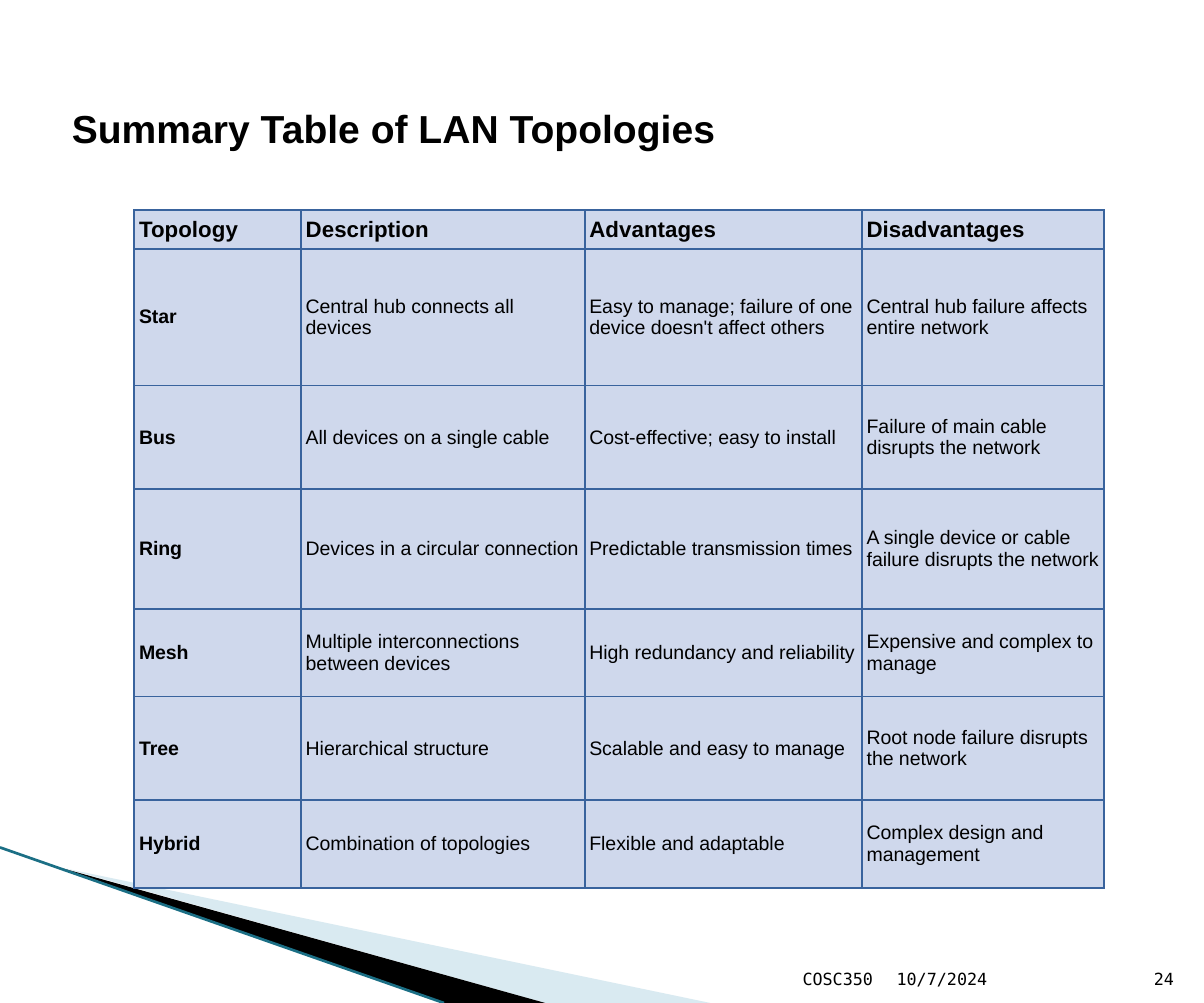
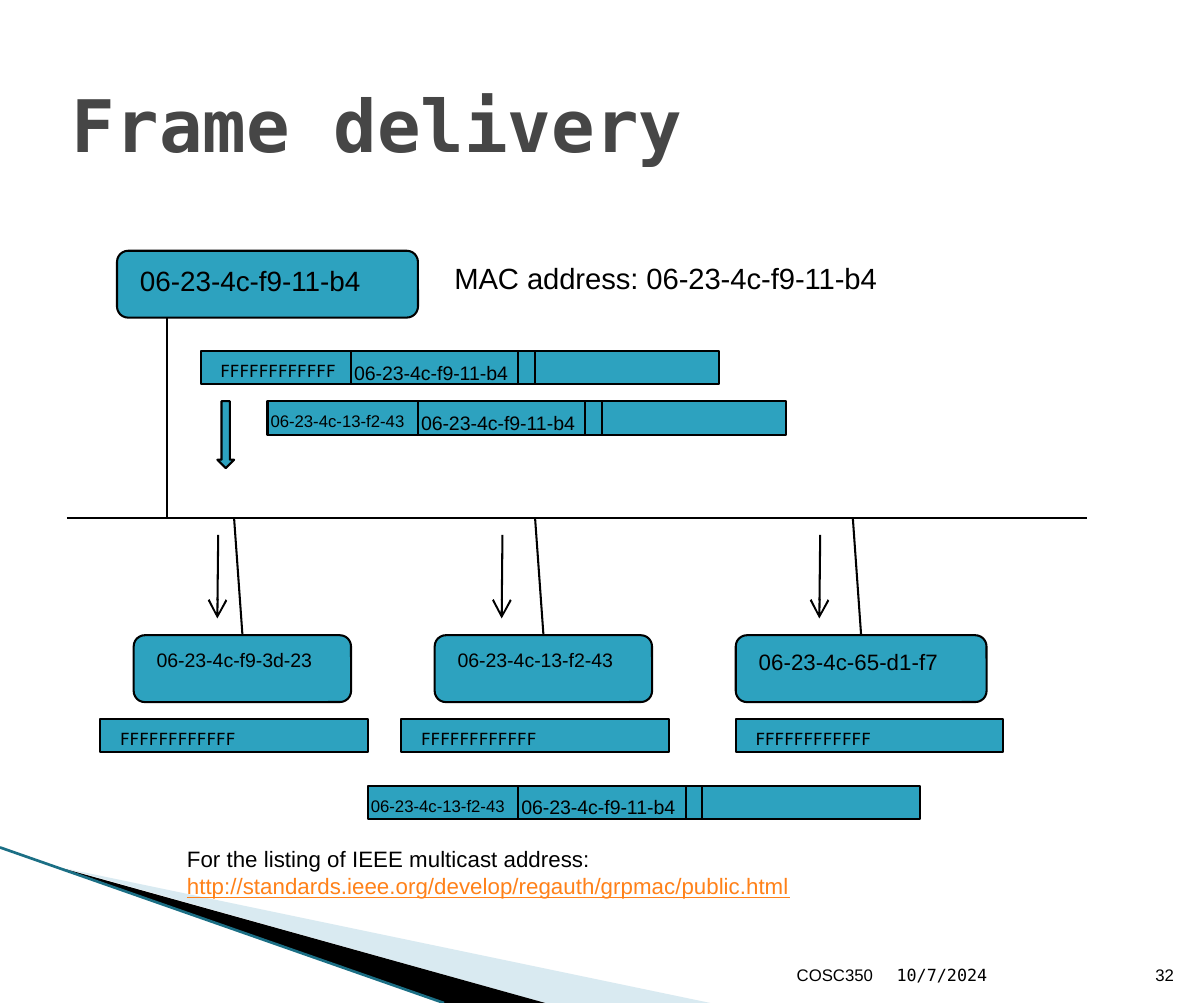
from dataclasses import dataclass

from lxml import etree
from pptx import Presentation
from pptx import util as u
from pptx.dml.color import RGBColor
from pptx.enum import shapes, text
from pptx.oxml import ns

Cm, Pt = u.Cm, u.Pt
LEFT, RIGHT = text.PP_ALIGN.LEFT, text.PP_ALIGN.RIGHT

BLACK = RGBColor(0x00, 0x00, 0x00)
TITLE_GREY = RGBColor(0x46, 0x46, 0x46)
TEAL = RGBColor(0x2D, 0xA2, 0xBF)
PALE_TEAL = RGBColor(0xA0, 0xCB, 0xDC)
DARK_TEAL = RGBColor(0x1B, 0x6F, 0x85)
LINK_ORANGE = RGBColor(0xFF, 0x81, 0x19)
CELL_BLUE = RGBColor(0xCF, 0xD8, 0xEC)
BORDER_BLUE = RGBColor(0x39, 0x63, 0x9D)

ARIAL, SANS, MONO = "Arial", "DejaVu Sans", "DejaVu Sans Mono"

SENDER = "06-23-4c-f9-11-b4"
RECEIVER = "06-23-4c-13-f2-43"
BROADCAST = "FFFFFFFFFFFF"

COLUMN_WIDTHS = (2.11, 3.59, 3.51, 3.06)
ROW_HEIGHTS = (0.49, 1.73, 1.31, 1.52, 1.11, 1.31, 1.11)
TOPOLOGIES = (
    ("Topology", "Description", "Advantages", "Disadvantages"),
    ("Star", "Central hub connects all devices",
     "Easy to manage; failure of one device doesn't affect others",
     "Central hub failure affects entire network"),
    ("Bus", "All devices on a single cable", "Cost-effective; easy to install",
     "Failure of main cable disrupts the network"),
    ("Ring", "Devices in a circular connection", "Predictable transmission times",
     "A single device or cable failure disrupts the network"),
    ("Mesh", "Multiple interconnections between devices",
     "High redundancy and reliability", "Expensive and complex to manage"),
    ("Tree", "Hierarchical structure", "Scalable and easy to manage",
     "Root node failure disrupts the network"),
    ("Hybrid", "Combination of topologies", "Flexible and adaptable",
     "Complex design and management"),
)


@dataclass(frozen=True)
class Style:
    size: float
    font: str = ARIAL
    color: RGBColor = BLACK
    bold: bool = False


@dataclass(frozen=True)
class Host:
    """A receiving station; positions in grid units."""
    address: str
    left: float
    width: float
    size: float
    arrow: float
    received: float


@dataclass(frozen=True)
class Frame:
    """A frame split into fields; positions in grid units."""
    left: float
    top: float
    width: float
    target: str


HOSTS = (
    Host("06-23-4c-f9-3d-23", 8, 13, 7, 13, 6),
    Host(RECEIVER, 26, 13, 7, 30, 24),
    Host("06-23-4c-65-d1-f7", 44, 15, 8, 49, 44),
)
FRAMES = (
    Frame(12, 21, 31, BROADCAST),
    Frame(16, 24, 31, RECEIVER),
    Frame(22, 47, 33, RECEIVER),
)
FIELD_EDGES = (9, 19, 20)
BUS_TOP, HOST_TOP = 31, 38


def grid(units: float) -> u.Length:
    """Length on the diagram's grid of twelve units to 2.54 cm."""
    return Cm(units * 2.54 / 12)


def write(paragraph, content: str, style: Style, align=LEFT) -> None:
    paragraph.text = content
    paragraph.alignment = align
    font = paragraph.font
    font.size, font.name, font.bold = Pt(style.size), style.font, style.bold
    font.color.rgb = style.color


def add_fixed_text(page, left, top, width, height, content, style,
                   anchor, align=LEFT) -> None:
    """Text in a box of fixed size with narrow margins."""
    box = page.shapes.add_textbox(Cm(left), Cm(top), Cm(width), Cm(height))
    frame = box.text_frame
    frame.word_wrap = True
    frame.vertical_anchor = anchor
    frame.margin_left = frame.margin_right = Cm(0.15)
    frame.margin_top = frame.margin_bottom = Cm(0.08)
    write(frame.paragraphs[0], content, style, align)


def add_label(page, left, top, width, height, content, size, wrap=False):
    """Text box placed on the grid, sized in cm, growing with its text."""
    box = page.shapes.add_textbox(grid(left), grid(top), Cm(width), Cm(height))
    box.text_frame.word_wrap = wrap
    box.text_frame.auto_size = text.MSO_AUTO_SIZE.SHAPE_TO_FIT_TEXT
    paragraph = box.text_frame.paragraphs[0]
    write(paragraph, content, Style(size))
    return paragraph


def add_line(page, start, end, color=BLACK, width=0.75, arrow=False):
    line = page.shapes.add_connector(shapes.MSO_CONNECTOR.STRAIGHT, *start, *end)
    line.line.color.rgb = color
    line.line.width = Pt(width)
    if arrow:
        etree.SubElement(line.line._get_or_add_ln(), ns.qn("a:tailEnd"), type="arrow")
    etree.SubElement(line._element.spPr, ns.qn("a:effectLst"))
    return line


def add_grid_line(page, x1, y1, x2, y2, arrow=False):
    return add_line(page, (grid(x1), grid(y1)), (grid(x2), grid(y2)), arrow=arrow)


def add_node(page, kind, left, top, width, height, content="", style=Style(7)):
    """Teal outlined shape placed on the grid."""
    node = page.shapes.add_shape(kind, grid(left), grid(top), grid(width), grid(height))
    node.shadow.inherit = False
    node.fill.solid()
    node.fill.fore_color.rgb = TEAL
    node.line.color.rgb = BLACK
    node.line.width = Pt(0.75)
    if content:
        node.text_frame.vertical_anchor = text.MSO_ANCHOR.TOP
        write(node.text_frame.paragraphs[0], content, style)
    return node


def add_wedge(page, points, color: RGBColor, opacity: int = 100) -> None:
    start, *rest = [(Cm(x), Cm(y)) for x, y in points]
    builder = page.shapes.build_freeform(*start)
    builder.add_line_segments(rest, close=True)
    wedge = builder.convert_to_shape()
    wedge.shadow.inherit = False
    wedge.fill.solid()
    wedge.fill.fore_color.rgb = color
    wedge.line.fill.background()
    if opacity < 100:
        solid = wedge._element.spPr.find(ns.qn("a:solidFill"))
        etree.SubElement(solid[0], ns.qn("a:alpha"), val=str(opacity * 1000))


def add_page(deck, title: str, title_style: Style, title_top: float,
             number: str, footer_font: str, footer_top: float):
    """Blank page with the corner wedges, title and footer."""
    page = deck.slides.add_slide(deck.slide_layouts[6])
    add_wedge(page, ((0.84, 11), (8.99, 12.7), (6.9, 12.7)), PALE_TEAL, 40)
    add_wedge(page, ((0.81, 11), (6.9, 12.7), (5.6, 12.7)), BLACK)
    add_line(page, (0, Cm(10.73)), (Cm(5.62), Cm(12.7)), DARK_TEAL, 0.95)
    add_fixed_text(page, 0.76, title_top, 13.72, 2.11, title, title_style,
                   text.MSO_ANCHOR.MIDDLE)
    for left, width, content, font, align in (
        (7.29, 3.91, "COSC350", footer_font, RIGHT),
        (11.2, 3.2, "10/7/2024", MONO, LEFT),
        (14.4, 0.61, number, footer_font, RIGHT),
    ):
        add_fixed_text(page, left, footer_top, width, 0.69, content,
                       Style(6, font), text.MSO_ANCHOR.BOTTOM, align)
    return page


def add_borders(cell) -> None:
    properties = cell._tc.get_or_add_tcPr()
    for side in ("lnL", "lnR", "lnT", "lnB"):
        border = etree.SubElement(properties, ns.qn(f"a:{side}"), w=str(Pt(0.75)))
        solid = etree.SubElement(border, ns.qn("a:solidFill"))
        etree.SubElement(solid, ns.qn("a:srgbClr"), val=str(BORDER_BLUE))


def add_topology_table(page) -> None:
    table = page.shapes.add_table(
        len(ROW_HEIGHTS), len(COLUMN_WIDTHS), Cm(1.7), Cm(2.66),
        Cm(sum(COLUMN_WIDTHS)), Cm(sum(ROW_HEIGHTS))).table
    table.first_row = table.horz_banding = False
    for column, width in zip(table.columns, COLUMN_WIDTHS):
        column.width = Cm(width)
    for i, (row, height, contents) in enumerate(zip(table.rows, ROW_HEIGHTS, TOPOLOGIES)):
        row.height = Cm(height)
        for j, (cell, content) in enumerate(zip(row.cells, contents)):
            add_borders(cell)
            cell.fill.solid()
            cell.fill.fore_color.rgb = CELL_BLUE
            cell.vertical_anchor = text.MSO_ANCHOR.MIDDLE
            cell.margin_left = cell.margin_right = Cm(0.06)
            cell.margin_top = cell.margin_bottom = Cm(0.03)
            style = Style(7 if i else 8, bold=i == 0 or j == 0)
            write(cell.text_frame.paragraphs[0], content, style)


def add_frame(page, frame: Frame) -> None:
    broadcast = frame.target == BROADCAST
    add_node(page, shapes.MSO_SHAPE.RECTANGLE, frame.left, frame.top, frame.width, 2,
             BROADCAST if broadcast else "", Style(6, SANS))
    for edge in FIELD_EDGES:
        x = frame.left + edge
        add_grid_line(page, x, frame.top, x, frame.top + 2)
    add_label(page, frame.left + 8, frame.top, 2.51, 0.56, SENDER, 7)
    if not broadcast:
        add_label(page, frame.left - 1, frame.top, 2.24, 0.51, frame.target, 6)


def add_host(page, host: Host) -> None:
    """Station with its tap to the bus, arrow and received broadcast."""
    station = add_node(page, shapes.MSO_SHAPE.ROUNDED_RECTANGLE, host.left, HOST_TOP,
                       host.width, 4, host.address, Style(host.size))
    middle = host.left + host.width / 2
    tap = add_grid_line(page, middle - 0.5, BUS_TOP, middle, HOST_TOP)
    tap.end_connect(station, 0)
    add_grid_line(page, host.arrow + 0.05, 32, host.arrow, 37, arrow=True)
    add_node(page, shapes.MSO_SHAPE.RECTANGLE, host.received, 43, 16, 2,
             BROADCAST, Style(6, SANS))


def add_delivery_diagram(page) -> None:
    add_node(page, shapes.MSO_SHAPE.ROUNDED_RECTANGLE, 7, 15, 18, 4, SENDER, Style(10))
    add_label(page, 26, 15, 5.99, 0.71, f"MAC address: {SENDER}", 10.5)
    add_grid_line(page, 4, BUS_TOP, 65, BUS_TOP)
    add_grid_line(page, 10, 19, 10, BUS_TOP)
    add_node(page, shapes.MSO_SHAPE.DOWN_ARROW, 13, 24, 1, 4)
    for host in HOSTS:
        add_host(page, host)
    for frame in FRAMES:
        add_frame(page, frame)

    note = add_label(page, 10, 50, 11.43, 0.94,
                     "For the listing of IEEE multicast address:", 8, wrap=True)
    note.add_line_break()
    span = note.add_run()
    span.text = "http://standards.ieee.org/develop/regauth/grpmac/public.html"
    span.font.color.rgb = LINK_ORANGE
    span.font.underline = True


def main() -> None:
    deck = Presentation()
    deck.slide_width, deck.slide_height = Cm(15.24), Cm(12.7)
    add_topology_table(add_page(
        deck, "Summary Table of LAN Topologies", Style(14, bold=True), 0.56,
        "24", MONO, 11.91))
    add_delivery_diagram(add_page(
        deck, "Frame delivery", Style(26, MONO, TITLE_GREY, True), 0.51,
        "32", ARIAL, 11.86))
    deck.save("out.pptx")


if __name__ == "__main__":
    main()
